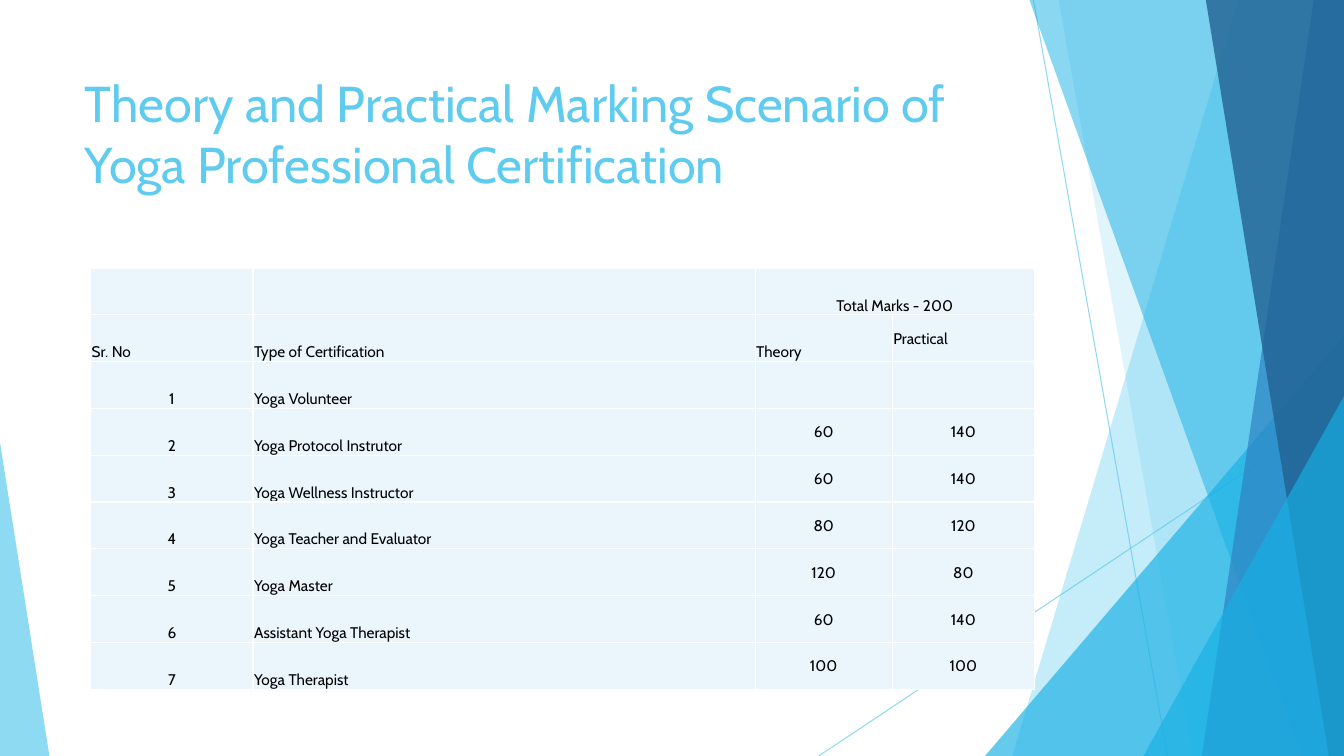
from dataclasses import dataclass

from lxml import etree
from pptx import Presentation, util as u
from pptx.dml.color import RGBColor
from pptx.enum import shapes, text
from pptx.oxml.ns import qn


@dataclass(frozen=True)
class Theme:
    font: str = "Cabin"
    title_size: int = 36
    table_size: int = 11
    sky: str = "5FCBEF"
    cyan: str = "17B0E4"
    blue: str = "2E83C3"
    navy: str = "226292"
    cell: str = "EAF6FC"
    ink: str = "000000"
    border: str = "FFFFFF"


theme = Theme()


def set_opacity(shape, percent):
    for color in shape.element.spPr.iter(qn("a:srgbClr")):
        etree.SubElement(color, qn("a:alpha"), val=str(percent * 1000))


def style_paragraph(paragraph, size, color):
    paragraph.font.name = theme.font
    paragraph.font.size = u.Pt(size)
    paragraph.font.bold = False
    paragraph.font.color.rgb = RGBColor.from_string(color)


deck = Presentation()
deck.slide_width, deck.slide_height = u.Inches(13.33), u.Inches(7.5)
W, H = deck.slide_width, deck.slide_height
slide = deck.slides.add_slide(deck.slide_layouts[5])

rays = [((10.25, 0), (11.58, 7.5)), ((13.33, 4.03), (8.12, 7.5))]
for start, end in rays:
    ray = slide.shapes.add_connector(
        shapes.MSO_CONNECTOR.STRAIGHT, *map(u.Inches, start + end))
    ray.line.color.rgb = RGBColor.from_string(theme.sky)
    ray.line.width = u.Pt(0.75)
    set_opacity(ray, 70)
    etree.SubElement(ray.element.spPr, qn("a:effectLst"))

facets = [
    ("band", (12.28, 10.04), theme.sky, 36),
    ("band", (10.5, 11.83), theme.sky, 20),
    ("peak", (9.77, 3.33, 3.56, 1), theme.cyan, 66),
    ("band", (10.21, 12.91), theme.cyan, 50),
    ("band", (13.03, 11.92), theme.blue, 70),
    ("band", (11.96, 13.18), theme.navy, 80),
    ("peak", (11.34, 3.93, 1.99, 1), theme.cyan, 66),
    ("peak", (0, 4.39, 0.49, 0), theme.sky, 70),
]
for kind, extent, color, opacity in facets:
    if kind == "band":
        top_x, bottom_x = map(u.Inches, extent)
        outline = slide.shapes.build_freeform(top_x, 0)
        outline.add_line_segments([(W, 0), (W, H), (bottom_x, H)], close=True)
        facet = outline.convert_to_shape()
    else:
        left, top, width = map(u.Inches, extent[:3])
        facet = slide.shapes.add_shape(
            shapes.MSO_SHAPE.ISOSCELES_TRIANGLE, left, top, width, H - top)
        facet.adjustments[0] = extent[3]
    facet.fill.solid()
    facet.fill.fore_color.rgb = RGBColor.from_string(color)
    facet.line.fill.background()
    facet.shadow.inherit = False
    set_opacity(facet, opacity)

title = slide.shapes.title
title.left, title.top, title.width, title.height = map(
    u.Inches, (0.74, 0.67, 9.4, 1.44))
title.text_frame.text = "Theory and Practical Marking Scenario of Yoga Professional Certification"
title.text_frame.word_wrap = True
title.text_frame.auto_size = text.MSO_AUTO_SIZE.NONE
title.text_frame.vertical_anchor = text.MSO_ANCHOR.TOP
title.text_frame.paragraphs[0].alignment = text.PP_ALIGN.LEFT
style_paragraph(title.text_frame.paragraphs[0], theme.title_size, theme.sky)

marks = [
    ("", "", "Total Marks - 200", ""),
    ("Sr. No", "Type of Certification", "Theory", "Practical"),
    ("1", "Yoga Volunteer", "", ""),
    ("2", "Yoga Protocol Instrutor", "60", "140"),
    ("3", "Yoga Wellness Instructor", "60", "140"),
    ("4", "Yoga Teacher and Evaluator", "80", "120"),
    ("5", "Yoga Master", "120", "80"),
    ("6", "Assistant Yoga Therapist", "60", "140"),
    ("7", "Yoga Therapist", "100", "100"),
]
column_widths = [1.61, 4.98, 1.36, 1.41]
table = slide.shapes.add_table(
    len(marks), len(column_widths), u.Inches(0.9), u.Inches(2.66),
    u.Inches(sum(column_widths)), u.Inches(4.18)).table
table.first_row = table.horz_banding = False
for column, width in zip(table.columns, column_widths):
    column.width = u.Inches(width)

for r, row in enumerate(marks):
    for c, entry in enumerate(row):
        cell = table.cell(r, c)
        cell.text = entry
        cell.margin_left = cell.margin_right = cell.margin_top = u.Inches(0.01)
        cell.margin_bottom = 0
        is_score = c >= 2 and r >= 2
        centred = is_score or r == 0 or (c == 0 and r >= 2)
        cell.vertical_anchor = (
            text.MSO_ANCHOR.MIDDLE if is_score or entry == "Practical"
            else text.MSO_ANCHOR.BOTTOM)
        paragraph = cell.text_frame.paragraphs[0]
        paragraph.alignment = text.PP_ALIGN.CENTER if centred else text.PP_ALIGN.LEFT
        style_paragraph(paragraph, theme.table_size, theme.ink)
        cell.fill.solid()
        cell.fill.fore_color.rgb = RGBColor.from_string(theme.cell)
        properties = cell._tc.get_or_add_tcPr()
        for position, side in enumerate(("lnL", "lnR", "lnT", "lnB")):
            edge = etree.Element(qn(f"a:{side}"), w=str(u.Pt(1)))
            paint = etree.SubElement(edge, qn("a:solidFill"))
            etree.SubElement(paint, qn("a:srgbClr"), val=theme.border)
            properties.insert(position, edge)
table.cell(0, 2).merge(table.cell(0, 3))

deck.save("out.pptx")
